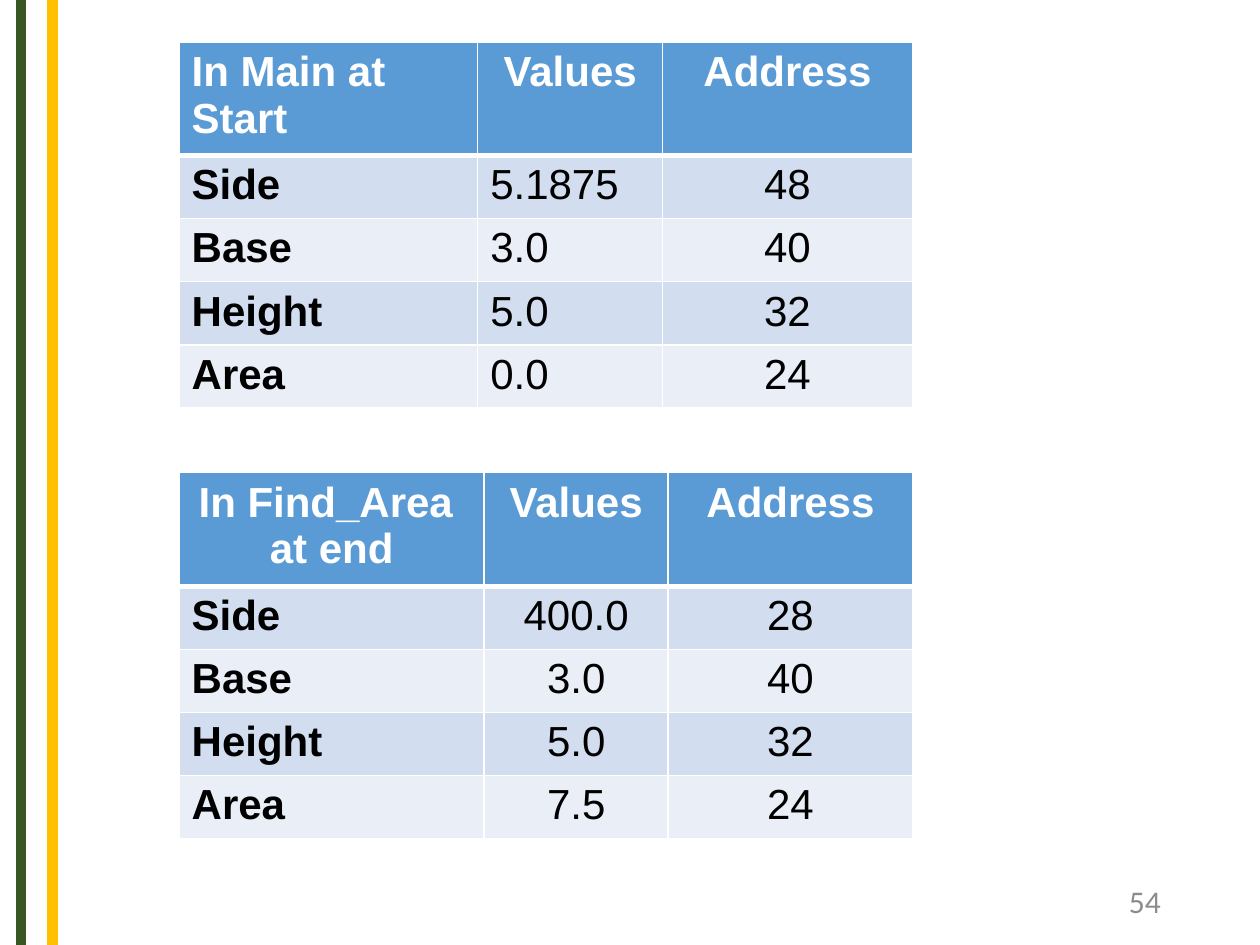
import pptx
import pptx.util
import pptx.dml.color
import pptx.enum.shapes
import pptx.enum.text
import pptx.oxml.ns
import lxml.etree

Cm = pptx.util.Cm
Pt = pptx.util.Pt
RGBColor = pptx.dml.color.RGBColor
ALIGN = pptx.enum.text.PP_ALIGN
qn = pptx.oxml.ns.qn

GREEN = RGBColor(0x38, 0x57, 0x23)
GOLD = RGBColor(0xFF, 0xC0, 0x00)
WHITE = RGBColor(0xFF, 0xFF, 0xFF)
BLACK = RGBColor(0x00, 0x00, 0x00)
GREY = RGBColor(0x8C, 0x8C, 0x8C)
HEADER_BLUE = RGBColor(0x5B, 0x9B, 0xD5)
BANDS = (RGBColor(0xD2, 0xDE, 0xEF), RGBColor(0xEA, 0xEF, 0xF7))

SLIDE_WIDTH, SLIDE_HEIGHT = 25.4, 19.05
TABLE_LEFT = 3.61
HEADER_HEIGHT = 2.1
STRIPES = [(0.42, GREEN), (1.06, GOLD)]
PAGE_NUMBER = "54"

TABLES = [
    {
        "top": 0.85,
        "widths": (6.02, 3.73, 5.03),
        "row_height": 1.27,
        "header_align": (ALIGN.LEFT, ALIGN.CENTER, ALIGN.CENTER),
        "body_align": (ALIGN.LEFT, ALIGN.LEFT, ALIGN.CENTER),
        "rows": [
            ("In Main at Start", "Values", "Address"),
            ("Side", "5.1875", "48"),
            ("Base", "3.0", "40"),
            ("Height", "5.0", "32"),
            ("Area", "0.0", "24"),
        ],
    },
    {
        "top": 9.53,
        "widths": (6.15, 3.71, 4.93),
        "row_height": 1.2,
        "header_align": (ALIGN.CENTER, ALIGN.CENTER, ALIGN.CENTER),
        "body_align": (ALIGN.LEFT, ALIGN.CENTER, ALIGN.CENTER),
        "rows": [
            ("In Find_Area \nat end", "Values", "Address"),
            ("Side", "400.0", "28"),
            ("Base", "3.0", "40"),
            ("Height", "5.0", "32"),
            ("Area", "7.5", "24"),
        ],
    },
]


def format_text(text_frame, align, font_name, size, color, bold=False):
    for paragraph in text_frame.paragraphs:
        paragraph.alignment = align
        for run in paragraph.runs:
            run.font.name = font_name
            run.font.size = Pt(size)
            run.font.bold = bold
            run.font.color.rgb = color


def set_borders(cell, top, bottom):
    properties = cell._tc.get_or_add_tcPr()
    for side, width in (("L", 1), ("R", 1), ("T", top), ("B", bottom)):
        line = lxml.etree.SubElement(properties, qn(f"a:ln{side}"), w=str(Pt(width)))
        fill = lxml.etree.SubElement(line, qn("a:solidFill"))
        lxml.etree.SubElement(fill, qn("a:srgbClr"), val=str(WHITE))


def add_stripe(slide, x, color):
    stripe = slide.shapes.add_connector(
        pptx.enum.shapes.MSO_CONNECTOR.STRAIGHT, Cm(x), 0, Cm(x), Cm(SLIDE_HEIGHT))
    stripe.line.color.rgb = color
    stripe.line.width = Pt(6)
    lxml.etree.SubElement(stripe._element.spPr, qn("a:effectLst"))


def add_value_table(slide, content):
    rows, widths = content["rows"], content["widths"]
    heights = [HEADER_HEIGHT] + [content["row_height"]] * (len(rows) - 1)
    table = slide.shapes.add_table(
        len(rows), len(widths), Cm(TABLE_LEFT), Cm(content["top"]),
        Cm(sum(widths)), Cm(sum(heights))).table
    for column, width in zip(table.columns, widths):
        column.width = Cm(width)
    for row_index, values in enumerate(rows):
        table.rows[row_index].height = Cm(heights[row_index])
        header = row_index == 0
        aligns = content["header_align" if header else "body_align"]
        for column_index, value in enumerate(values):
            cell = table.cell(row_index, column_index)
            cell.text_frame.text = value
            format_text(cell.text_frame, aligns[column_index], "Arial", 24,
                        WHITE if header else BLACK, header or column_index == 0)
            set_borders(cell, 3 if row_index == 1 else 1, 3 if header else 1)
            cell.fill.solid()
            cell.fill.fore_color.rgb = HEADER_BLUE if header else BANDS[(row_index - 1) % 2]


def add_page_number(slide):
    text_frame = slide.shapes.add_textbox(
        Cm(17.93), Cm(17.65), Cm(5.72), Cm(1.02)).text_frame
    text_frame.word_wrap = True
    text_frame.vertical_anchor = pptx.enum.text.MSO_ANCHOR.MIDDLE
    text_frame.text = PAGE_NUMBER
    format_text(text_frame, ALIGN.RIGHT, "Calibri", 18, GREY)


def main():
    presentation = pptx.Presentation()
    presentation.slide_width = Cm(SLIDE_WIDTH)
    presentation.slide_height = Cm(SLIDE_HEIGHT)
    slide = presentation.slides.add_slide(presentation.slide_layouts[6])
    for x, color in STRIPES:
        add_stripe(slide, x, color)
    add_page_number(slide)
    for content in TABLES:
        add_value_table(slide, content)
    presentation.save("out.pptx")


if __name__ == "__main__":
    main()
